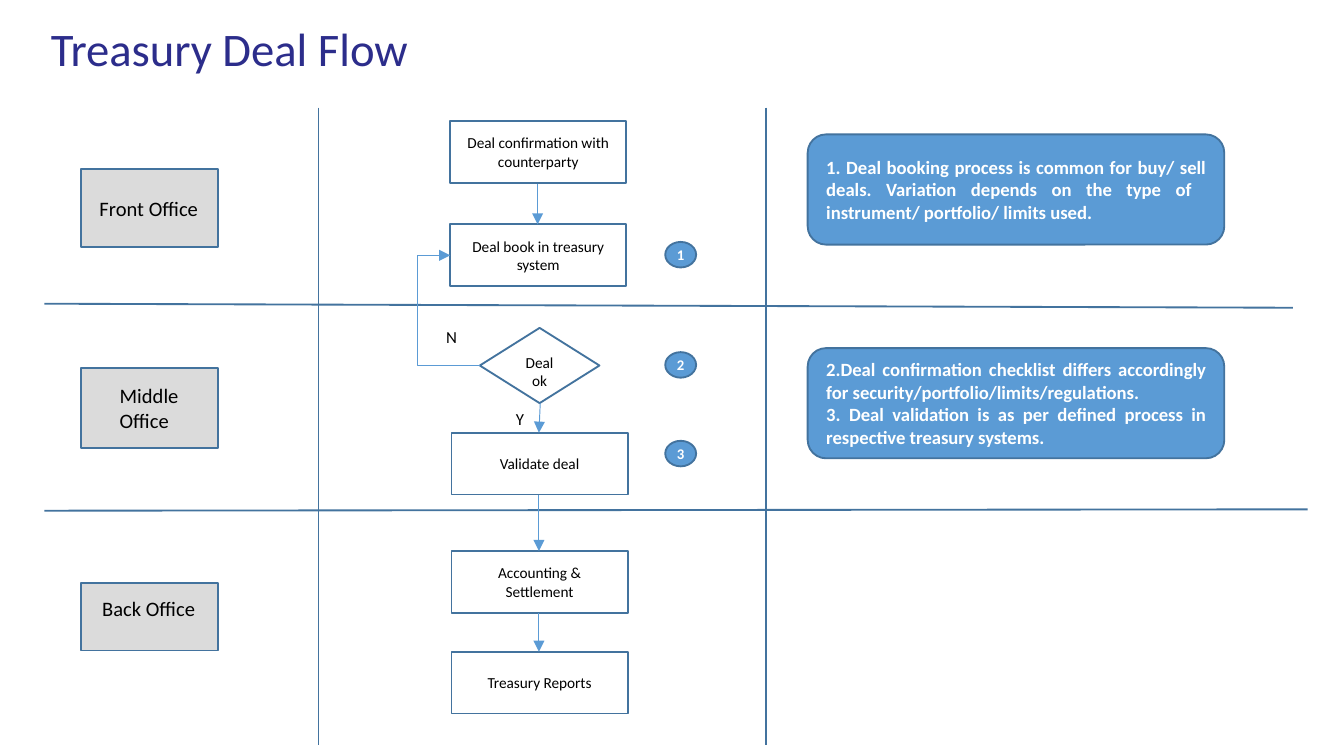
from dataclasses import dataclass

import pptx
import pptx.dml.color
import pptx.enum.shapes
import pptx.enum.text
import pptx.oxml.ns
import pptx.util

Inches = pptx.util.Inches
Shape = pptx.enum.shapes.MSO_SHAPE
Conn = pptx.enum.shapes.MSO_CONNECTOR
Align = pptx.enum.text.PP_ALIGN
Anchor = pptx.enum.text.MSO_ANCHOR
qn = pptx.oxml.ns.qn

COLORS = {
    "title": "2C2D8B",
    "text": "000000",
    "light": "FFFFFF",
    "office": "DBDBDB",
    "accent": "5B9BD5",
    "outline": "43739E",
}


@dataclass
class Node:
    kind: Shape
    left: float
    top: float
    width: float
    height: float
    text: str
    size: float = 8.2
    fill: str | None = None
    line: str | None = "outline"
    color: str = "text"
    bold: bool = False
    align: Align = Align.CENTER
    anchor: Anchor = Anchor.MIDDLE
    wrap: bool = True
    inset_left: float = 0.1
    inset_bottom: float = 0.05


@dataclass
class Link:
    x1: float
    y1: float
    x2: float
    y2: float
    arrow: bool = False
    bend: float | None = None


def rgb(name: str) -> pptx.dml.color.RGBColor:
    return pptx.dml.color.RGBColor.from_string(COLORS[name])


def write(tf, text: str, size: float, color: str, bold: bool, align: Align) -> None:
    tf.text = text
    for p in tf.paragraphs:
        p.alignment = align
        for r in p.runs:
            r.font.name = "Calibri"
            r.font.size = pptx.util.Pt(size)
            r.font.bold = bold
            r.font.color.rgb = rgb(color)


def draw_node(slide, n: Node) -> None:
    sp = slide.shapes.add_shape(
        n.kind, Inches(n.left), Inches(n.top), Inches(n.width), Inches(n.height))
    sp.shadow.inherit = False
    if n.fill:
        sp.fill.solid()
        sp.fill.fore_color.rgb = rgb(n.fill)
    else:
        sp.fill.background()
    if n.line:
        sp.line.color.rgb = rgb(n.line)
        sp.line.width = pptx.util.Pt(1)
    else:
        sp.line.fill.background()
    tf = sp.text_frame
    tf.word_wrap = n.wrap
    tf.vertical_anchor = n.anchor
    tf.margin_left = Inches(n.inset_left)
    tf.margin_bottom = Inches(n.inset_bottom)
    write(tf, n.text, n.size, n.color, n.bold, n.align)


def draw_link(slide, k: Link) -> None:
    kind = Conn.STRAIGHT if k.bend is None else Conn.ELBOW
    sp = slide.shapes.add_connector(
        kind, Inches(k.x1), Inches(k.y1), Inches(k.x2), Inches(k.y2))
    sp.line.color.rgb = rgb("accent" if k.arrow else "outline")
    sp.line.width = pptx.util.Pt(0.5 if k.arrow else 1)
    props = sp._element.spPr
    if k.arrow:
        ln = props.find(qn("a:ln"))
        ln.append(ln.makeelement(qn("a:tailEnd"), {"type": "triangle"}))
    if k.bend is not None:
        props.prstGeom.rewrite_guides([("adj1", round(k.bend * 100000))])
    props.append(props.makeelement(qn("a:effectLst"), {}))


def office(top: float, height: float, text: str, inset: float, bottom: float = 0.05) -> Node:
    return Node(Shape.FLOWCHART_PROCESS, 0.6, top, 1.02, height, text, 11, "office",
                align=Align.LEFT, inset_left=inset, inset_bottom=bottom)


def step(left: float, top: float, text: str) -> Node:
    return Node(Shape.FLOWCHART_PROCESS, left, top, 1.31, 0.46, text)


def callout(top: float, text: str) -> Node:
    return Node(Shape.ROUNDED_RECTANGLE, 6.01, top, 3.1, 0.82, text, 10, "accent",
                color="light", bold=True, align=Align.JUSTIFY)


def marker(top: float, text: str) -> Node:
    return Node(Shape.OVAL, 4.95, top, 0.23, 0.19, text, 7.9, "accent",
                color="light", bold=True, wrap=False)


def answer(left: float, top: float, text: str) -> Node:
    return Node(Shape.FLOWCHART_DECISION, left, top, 0.3, 0.3, text, 9, line=None,
                anchor=Anchor.TOP, wrap=False)


LANES = [
    Link(0.33, 2.26, 9.62, 2.29),
    Link(0.33, 3.8, 9.73, 3.79),
    Link(2.37, 0.8, 2.37, 5.54),
    Link(5.7, 0.8, 5.7, 5.54),
]

NODES = [
    office(1.26, 0.58, "Front Office", 0.14),
    office(2.74, 0.59, "Middle Office", 0.29),
    office(4.34, 0.5, "Back Office", 0.16, 0.17),
    step(3.35, 0.9, "Deal confirmation with counterparty"),
    step(3.35, 1.67, "Deal book in treasury system"),
    Node(Shape.FLOWCHART_DECISION, 3.57, 2.44, 0.89, 0.56, "Deal ok", anchor=Anchor.TOP),
    step(3.36, 3.22, "Validate deal"),
    step(3.36, 4.1, "Accounting & Settlement"),
    step(3.36, 4.85, "Treasury Reports"),
    answer(3.21, 2.31, "N"),
    answer(3.72, 2.92, "Y"),
    callout(1, "1. Deal booking process is common for buy/ sell deals. Variation depends "
               "on the type of  instrument/ portfolio/ limits used."),
    callout(2.59, "2.Deal confirmation checklist differs accordingly for "
                  "security/portfolio/limits/regulations.\n"
                  "3. Deal validation is as per defined process in respective "
                  "treasury systems."),
    marker(1.8, "1"),
    marker(2.62, "2"),
    marker(3.28, "3"),
]

ARROWS = [
    Link(4, 1.37, 4, 1.67, True),
    Link(4.02, 3, 4.01, 3.22, True),
    Link(4.01, 3.68, 4.01, 4.1, True),
    Link(4.01, 4.56, 4.01, 4.85, True),
    Link(3.57, 2.72, 3.35, 1.9, True, 2.11),
]

prs = pptx.Presentation()
prs.slide_width = Inches(10)
prs.slide_height = prs.slide_width * 9 // 16
s = prs.slides.add_slide(prs.slide_layouts[6])

title = s.shapes.add_textbox(Inches(0.28), Inches(0.1), Inches(2.93), Inches(0.52))
title.text_frame.word_wrap = False
write(title.text_frame, "Treasury Deal Flow", 25, "title", False, Align.LEFT)

for lane in LANES:
    draw_link(s, lane)
for node in NODES:
    draw_node(s, node)
for arrow in ARROWS:
    draw_link(s, arrow)

prs.save("out.pptx")
